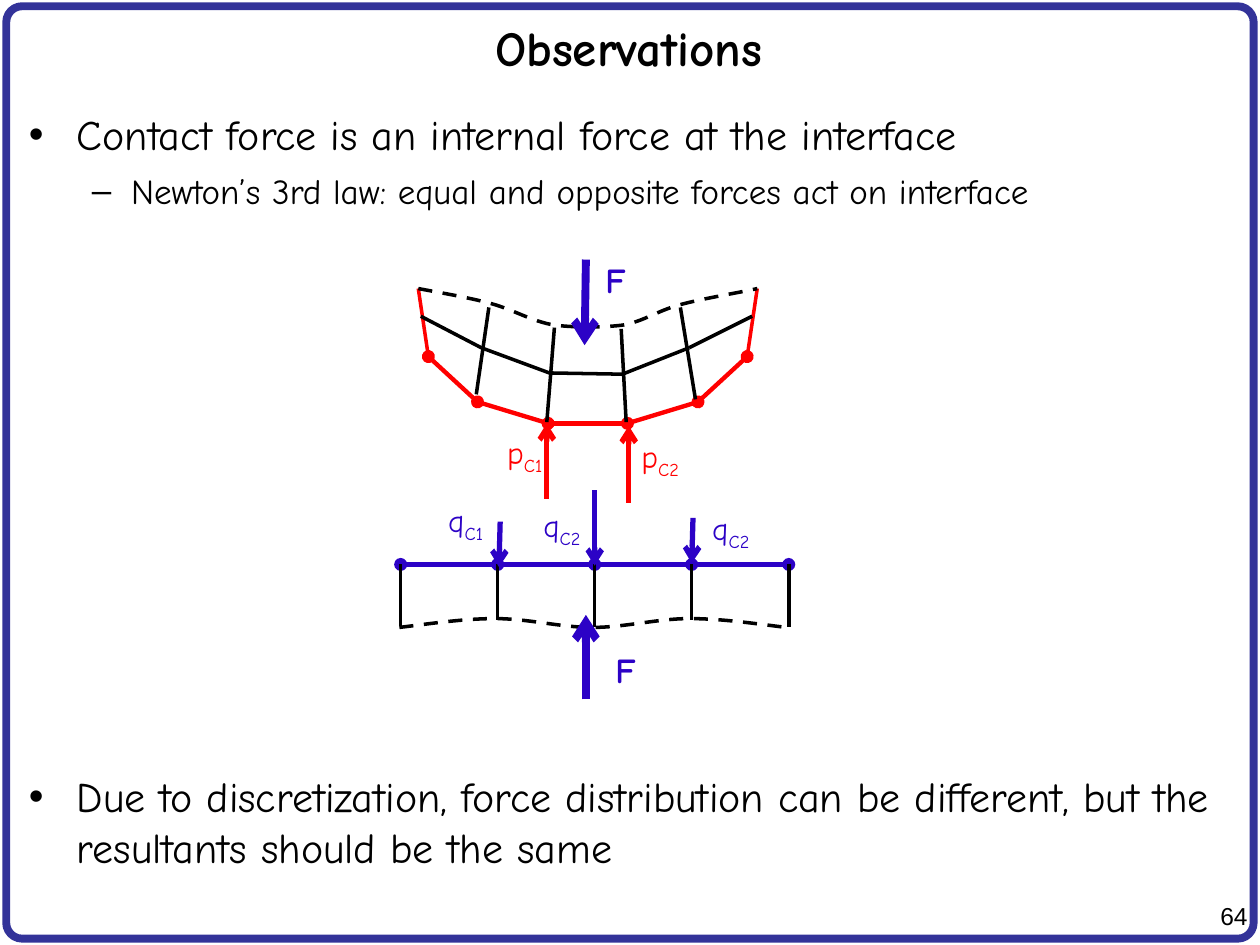
from dataclasses import dataclass
from itertools import pairwise
from typing import Any

from lxml.etree import SubElement
from pptx import Presentation
from pptx.dml.color import RGBColor
from pptx.enum.dml import MSO_LINE
from pptx.enum.shapes import MSO_CONNECTOR, MSO_SHAPE
from pptx.enum.text import MSO_ANCHOR, MSO_AUTO_SIZE, PP_ALIGN
from pptx.oxml.ns import qn
from pptx.util import Pt

EMU_PER_PX = 9144
FONT = "Comic Neue"
COLORS = {"text": "000000", "frame": "333399", "contact": "FF0000", "force": "2C02C6"}


def px(length):
    """Turn px, a hundredth of an inch, into EMU."""
    return round(length * EMU_PER_PX)


def move(shape, left, top, width, height):
    """Place a shape by px lengths."""
    shape.left, shape.top = px(left), px(top)
    shape.width, shape.height = px(width), px(height)


def style_line(line, color, width):
    """Give a line its colour and width in points."""
    line.color.rgb = RGBColor.from_string(COLORS[color])
    line.width = Pt(width)


def add_run(paragraph, text, size, color="text", bold=False, font=FONT):
    """Add one formatted run and return it."""
    run = paragraph.add_run()
    run.text = text
    run.font.name, run.font.size, run.font.bold = font, Pt(size), bold
    run.font.color.rgb = RGBColor.from_string(COLORS[color])
    return run


@dataclass
class Region:
    """A drawing area whose parts are placed relative to its corner."""

    shapes: Any
    left: int
    top: int

    def point(self, x, y):
        """Turn a place in the region into slide EMU."""
        return px(self.left + x), px(self.top + y)

    def line(self, start, end, color="text", width=2, head=None, tail=None):
        """Draw a straight line with optional end marks."""
        connector = self.shapes.add_connector(
            MSO_CONNECTOR.STRAIGHT, *self.point(*start), *self.point(*end))
        style_line(connector.line, color, width)
        properties = connector._element.spPr
        outline = properties.find(qn("a:ln"))
        for tag, mark in (("a:headEnd", head), ("a:tailEnd", tail)):
            if mark:
                SubElement(outline, qn(tag), type=mark)
        SubElement(properties, qn("a:effectLst"))

    def arrow(self, start, end, color, width=3):
        """Draw a force arrow."""
        self.line(start, end, color, width, tail="arrow")

    def edge(self, nodes, color, dots):
        """Join contact nodes, with dots at the ends of each segment."""
        for (start, end), (head, tail) in zip(pairwise(nodes), dots):
            self.line(start, end, color, 2.5, head and "oval", tail and "oval")

    def dashed_curve(self, start, segments):
        """Draw a dashed chain of cubic curves."""
        builder = self.shapes.build_freeform(*self.point(*start))
        builder.add_line_segments([self.point(*s[4:]) for s in segments], close=False)
        curve = builder.convert_to_shape()
        lines = list(curve._element.iter(qn("a:lnTo")))
        for line, segment in zip(lines, segments):
            line.tag = qn("a:cubicBezTo")
            controls = (segment[:2], segment[2:4])
            for position, control in enumerate(controls):
                x, y = self.point(*control)
                point = SubElement(line, qn("a:pt"), x=str(x - curve.left), y=str(y - curve.top))
                line.insert(position, point)
        curve.shadow.inherit = False
        curve.fill.background()
        style_line(curve.line, "text", 2)
        curve.line.dash_style = MSO_LINE.DASH

    def label(self, box, text, color, subscript=None):
        """Write a force name, bold unless it has a subscript."""
        left, top, width, height = box
        shape = self.shapes.add_textbox(*self.point(left, top), px(width), px(height))
        shape.text_frame.word_wrap = False
        paragraph = shape.text_frame.paragraphs[0]
        paragraph.alignment = PP_ALIGN.CENTER
        add_run(paragraph, text, 18 if subscript else 20, color, not subscript)
        if subscript:
            run = add_run(paragraph, subscript, 18, color)
            run._r.get_or_add_rPr().set("baseline", "-25000")


def add_frame(shapes, left, top, width, height):
    """Draw the rounded slide border."""
    frame = shapes.add_shape(
        MSO_SHAPE.ROUNDED_RECTANGLE, px(left), px(top), px(width), px(height))
    frame.adjustments[0] = 0.017
    frame.shadow.inherit = False
    frame.fill.background()
    style_line(frame.line, "frame", 4.5)


def add_page_number(shapes, left, top, width, height):
    """Write the page number."""
    box = shapes.add_textbox(px(left), px(top), px(width), px(height))
    box.text_frame.word_wrap = True
    paragraph = box.text_frame.paragraphs[0]
    paragraph.alignment = PP_ALIGN.RIGHT
    add_run(paragraph, "64", 14, font="Arial")


def fill_title(title, *box):
    """Place and write the title."""
    move(title, *box)
    title.text_frame.auto_size = MSO_AUTO_SIZE.NONE
    title.text_frame.vertical_anchor = MSO_ANCHOR.MIDDLE
    paragraph = title.text_frame.paragraphs[0]
    paragraph.alignment = PP_ALIGN.CENTER
    add_run(paragraph, "Observations", 28, bold=True)


def fill_body(body, *box):
    """Place the list, leaving room for the diagrams before its last item."""
    move(body, *box)
    frame = body.text_frame
    frame.auto_size = MSO_AUTO_SIZE.NONE
    items = (
        (0, 0, "Contact force is an internal force at the interface"),
        (1, 6, "Newton’s 3rd law: equal and opposite forces act on interface"),
        (0, 319.6, "Due to discretization, force distribution can be different, "
                   "but the resultants should be the same"),
    )
    styles = (("•", 38, -38, 24), ("–", 81, -31, 20))
    for index, (level, space, text) in enumerate(items):
        paragraph = frame.add_paragraph() if index else frame.paragraphs[0]
        bullet, margin, indent, size = styles[level]
        paragraph.level = level
        paragraph.space_before = Pt(space)
        properties = paragraph._p.get_or_add_pPr()
        properties.set("marL", str(px(margin)))
        properties.set("indent", str(px(indent)))
        SubElement(properties, qn("a:buFont"), typeface="Arial")
        SubElement(properties, qn("a:buChar"), char=bullet)
        add_run(paragraph, text, size)


def add_upper_body(shapes, left, top):
    """Draw the bent mesh with its load and contact forces."""
    region = Region(shapes.add_group_shape().shapes, left, top)
    nodes = ((8, 83), (47, 119), (103, 136), (166, 136), (222, 119), (261, 83))
    region.edge(nodes, "contact", [(i % 2 == 0,) * 2 for i in range(5)])
    region.line(nodes[0], (0, 29), "contact")
    region.line(nodes[-1], (269, 29), "contact")
    for start, end in (((46, 113), (56, 44)), ((102, 135), (108, 60)),
                       ((165, 135), (161, 61)), ((220, 117), (208, 44))):
        region.line(start, end)
    for start, end in pairwise(((2, 51), (50, 76), (104, 96), (162, 97), (215, 76), (265, 51))):
        region.line(start, end)
    region.dashed_curve((0, 29), (
        (10, 31, 40, 36, 58, 41), (76, 46, 90, 55, 108, 58), (125, 60, 146, 60, 162, 58),
        (179, 55, 189, 47, 207, 42), (225, 37, 256, 32, 269, 29)))
    region.arrow((133, 6), (132, 74), "force", 4.5)
    region.arrow((102, 196), (102, 136), "contact")
    region.arrow((167, 199), (167, 138), "contact")
    region.label((59, 139, 51, 40), "p", "contact", "C1")
    region.label((164, 142, 56, 40), "p", "contact", "C2")
    region.label((138, 0, 37, 44), "F", "force")


def add_lower_body(shapes, left, top):
    """Draw the flat mesh with its load and contact forces."""
    mesh = Region(shapes.add_group_shape().shapes, left, top)
    nodes = [(1 + 77 * i, 59) for i in range(5)]
    mesh.edge(nodes, "force", ((True, True), (False, False), (True, False), (True, True)))
    for (x, y), bottom in zip(nodes, (108, 103, 109, 103, 109)):
        mesh.line((x, y), (x, bottom))
    mesh.dashed_curve((0, 109), (
        (25, 106, 51, 102, 76, 102), (102, 102, 128, 109, 153, 109),
        (179, 109, 205, 102, 230, 102), (256, 102, 282, 106, 307, 109)))
    region = Region(shapes, left, top)
    region.arrow((148, 166), (148, 99), "force", 4.5)
    for start, end in (((155, 0), (155, 60)), ((233, 22), (232, 58)), ((80, 25), (79, 61))):
        region.arrow(start, end, "force")
    region.label((27, 4, 51, 40), "q", "force", "C1")
    region.label((101, 8, 56, 40), "q", "force", "C2")
    region.label((235, 10, 56, 40), "q", "force", "C2")
    region.label((161, 121, 37, 44), "F", "force")


def main():
    """Build the slide and save it."""
    presentation = Presentation()
    presentation.slide_width, presentation.slide_height = px(1000), px(750)
    slide = presentation.slides.add_slide(presentation.slide_layouts[1])
    fill_title(slide.shapes.title, 4, 5, 990, 65)
    fill_body(slide.placeholders[1], 13, 81, 974, 642)
    add_frame(slide.shapes, 5, 5, 990, 740)
    add_page_number(slide.shapes, 946, 710, 54, 33)
    add_upper_body(slide.shapes, 332, 200)
    add_lower_body(slide.shapes, 317, 389)
    presentation.save("out.pptx")


if __name__ == "__main__":
    main()
